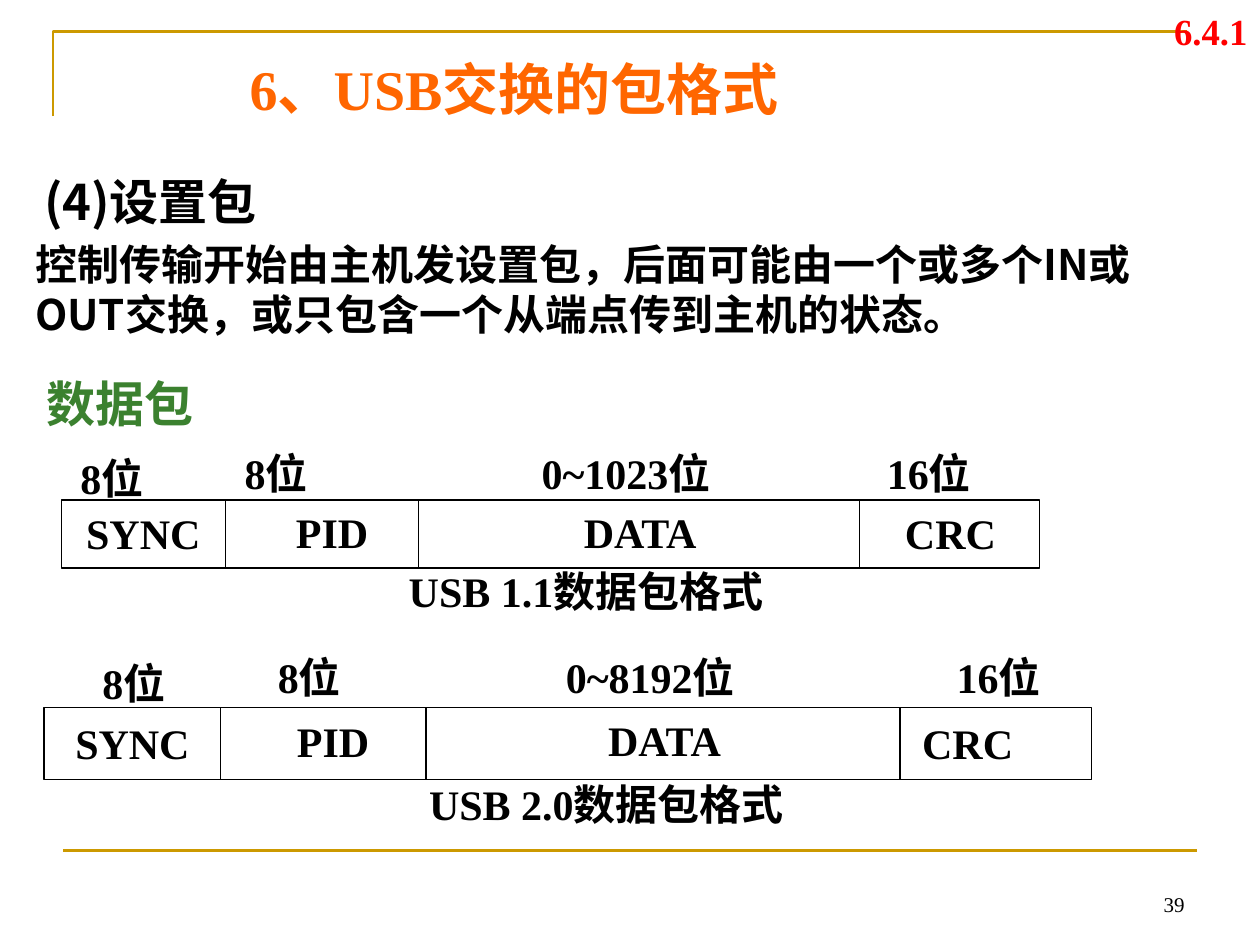
from lxml import etree
from pptx import Presentation
from pptx.dml.color import RGBColor
from pptx.enum import shapes, text
from pptx.oxml.ns import qn
from pptx.util import Cm, Pt

THEME = {
    "latin": "Times New Roman", "cjk": "Noto Sans CJK SC",
    "black": "000000", "gold": "CC9900", "orange": "FF6600",
    "green": "3B812F", "red": "FF0000",
    "title": 32, "heading": 28, "body": 24, "section": 21, "number": 12,
    "rule": 1.5, "frame": 0.75,
}
LEFT, CENTER, RIGHT, JUSTIFY = (
    text.PP_ALIGN.LEFT, text.PP_ALIGN.CENTER, text.PP_ALIGN.RIGHT, text.PP_ALIGN.JUSTIFY)
TOP, MIDDLE, BOTTOM = (
    text.MSO_ANCHOR.TOP, text.MSO_ANCHOR.MIDDLE, text.MSO_ANCHOR.BOTTOM)

# Content: all lengths in centimetres, boxes as left, top, width, height
TITLE = ("6、USB交换的包格式", (4.78, 1.02, 16.94, 1.5))
TEXTS = [
    ("数据包", (0.69, 7.39, 17.02, 1.45), {"size": "heading", "color": "green"}),
    ("(4)设置包", (0.64, 2.92, 13.39, 1.85),
     {"size": "heading", "latin": "cjk", "spacing": 1.35}),
    ("控制传输开始由主机发设置包，后面可能由一个或多个IN或OUT交换，"
     "或只包含一个从端点传到主机的状态。",
     (0.46, 4.67, 23.65, 2.29), {"latin": "cjk"}),
    ("6.4.1", (22.91, 0.13, 2.49, 0.99),
     {"size": "section", "color": "red", "align": RIGHT, "anchor": MIDDLE}),
    ("39", (18.21, 17.35, 5.92, 1.27),
     {"size": "number", "bold": False, "align": RIGHT, "anchor": BOTTOM}),
]
CORNER = [(1.07, 2.34), (1.07, 0.64), (23.93, 0.64)]
FOOT_RULE = (1.27, 17.15, 24.13, 17.15)

# Packet labels: text, alignment, left, top, width
PACKETS = [
    {"frame": (1.24, 10.08, 19.71, 1.37), "dividers": [4.55, 8.43, 17.32],
     "labels": [
         ("SYNC", CENTER, 1.3, 10.21, 3.18),
         ("PID", CENTER, 5.26, 10.19, 2.87),
         ("DATA", CENTER, 8.36, 10.19, 9.09),
         ("CRC", CENTER, 17.7, 10.21, 2.92),
         ("8位", JUSTIFY, 1.57, 9.09, 2.74),
         ("8位", JUSTIFY, 4.88, 8.99, 2.74),
         ("0~1023位", CENTER, 8.81, 8.99, 7.62),
         ("16位", JUSTIFY, 17.83, 8.99, 2.74),
         ("USB 1.1数据包格式", CENTER, 6.25, 11.38, 11.13)]},
    {"frame": (0.89, 14.27, 21.11, 1.45), "dividers": [4.45, 8.59, 18.14],
     "labels": [
         ("SYNC", CENTER, 0.97, 14.43, 3.4),
         ("PID", CENTER, 5.18, 14.4, 3.07),
         ("DATA", CENTER, 8.53, 14.38, 9.73),
         ("CRC", JUSTIFY, 18.54, 14.43, 3.15),
         ("8位", CENTER, 1.24, 13.23, 2.92),
         ("8位", CENTER, 4.78, 13.11, 2.92),
         ("0~8192位", CENTER, 9.02, 13.11, 8.18),
         ("16位", CENTER, 18.67, 13.11, 2.92),
         ("USB 2.0数据包格式", CENTER, 6.27, 15.67, 11.91)]},
]
LABEL_HEIGHT = 1.1


def lengths(values):
    return [Cm(value) for value in values]


def color(name):
    return RGBColor.from_string(THEME[name])


def set_all(target, values):
    for name, value in values.items():
        setattr(target, name, value)


def write(box, words, size="body", color_name="black", latin="latin", bold=True,
          align=LEFT, anchor=TOP, spacing=None, inset=(0.25, 0.13)):
    frame = box.text_frame
    side, end = lengths(inset)
    set_all(frame, {"word_wrap": True, "auto_size": text.MSO_AUTO_SIZE.NONE,
                    "vertical_anchor": anchor, "margin_left": side,
                    "margin_right": side, "margin_top": end, "margin_bottom": end})
    para = frame.paragraphs[0]
    set_all(para, {"alignment": align, "line_spacing": spacing})
    span = para.add_run()
    span.text = words
    set_all(span.font, {"size": Pt(THEME[size]), "bold": bold, "name": THEME[latin]})
    span.font.color.rgb = color(color_name)
    # East Asian typeface
    etree.SubElement(span._r.get_or_add_rPr(), qn("a:ea"), typeface=THEME["cjk"])


def stroke(shape, color_name, width):
    shape.line.color.rgb = color(color_name)
    shape.line.width = Pt(THEME[width])


def add_line(parts, ends, color_name, width):
    line = parts.add_connector(shapes.MSO_CONNECTOR.STRAIGHT, *lengths(ends))
    stroke(line, color_name, width)
    etree.SubElement(line._element.spPr, qn("a:effectLst"))


def add_packet(page, packet):
    parts = page.shapes.add_group_shape().shapes
    frame = parts.add_shape(shapes.MSO_SHAPE.RECTANGLE, *lengths(packet["frame"]))
    frame.fill.background()
    frame.shadow.inherit = False
    stroke(frame, "black", "frame")
    _, top, _, height = packet["frame"]
    for x in packet["dividers"]:
        add_line(parts, (x, top, x, top + height), "black", "frame")
    for words, align, left, label_top, width in packet["labels"]:
        box = parts.add_textbox(*lengths((left, label_top, width, LABEL_HEIGHT)))
        write(box, words, align=align, inset=(0.05, 0.03))


def main():
    deck = Presentation()
    set_all(deck, {"slide_width": Cm(25.4), "slide_height": Cm(19.05)})
    page = deck.slides.add_slide(deck.slide_layouts[5])

    # Corner and foot rules
    start, *rest = [lengths(point) for point in CORNER]
    builder = page.shapes.build_freeform(*start)
    builder.add_line_segments(rest, close=False)
    corner = builder.convert_to_shape()
    corner.fill.background()
    corner.shadow.inherit = False
    stroke(corner, "gold", "rule")
    add_line(page.shapes, FOOT_RULE, "gold", "rule")

    # Title
    words, place = TITLE
    title = page.shapes.title
    set_all(title, dict(zip(("left", "top", "width", "height"), lengths(place))))
    write(title, words, size="title", color_name="orange", anchor=MIDDLE)

    # Packet diagrams and running text
    for packet in PACKETS:
        add_packet(page, packet)
    for words, place, look in TEXTS:
        style = dict(look)
        style["color_name"] = style.pop("color", "black")
        write(page.shapes.add_textbox(*lengths(place)), words, **style)

    deck.save("out.pptx")


if __name__ == "__main__":
    main()
